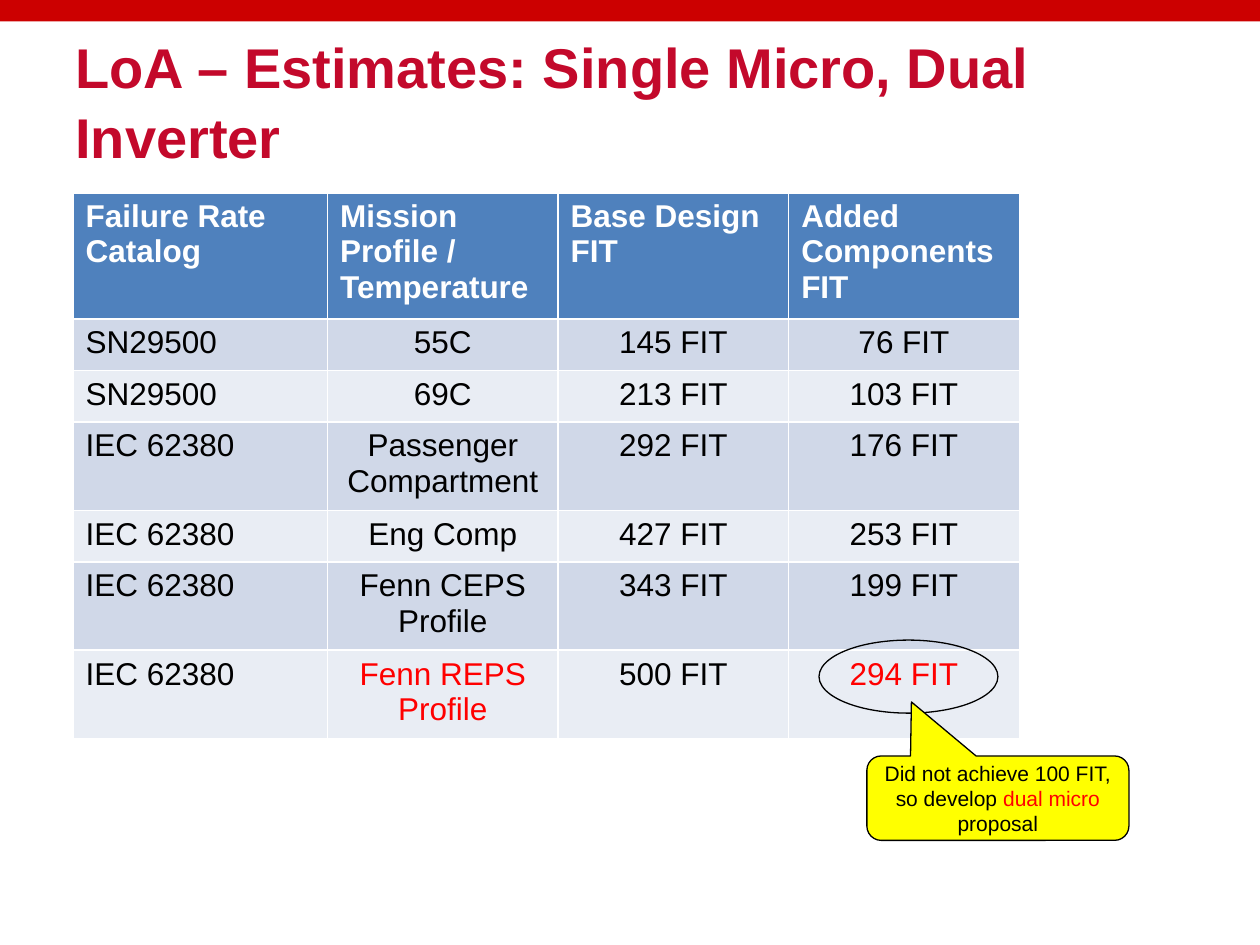
import pptx
import pptx.util
import pptx.dml.color
import pptx.enum.shapes
import pptx.enum.text

Inch = pptx.util.Inches
Shape = pptx.enum.shapes.MSO_SHAPE
Align = pptx.enum.text.PP_ALIGN
Mid = pptx.enum.text.MSO_ANCHOR.MIDDLE


def tint(hue):
    return pptx.dml.color.RGBColor.from_string(hue)


def write(para, text, size, hue="000000", bold=False):
    run = para.add_run()
    run.text = text
    look = {"name": "Arial", "size": pptx.util.Pt(size), "bold": bold}
    for key, value in look.items():
        setattr(run.font, key, value)
    run.font.color.rgb = tint(hue)


deck = pptx.Presentation()
deck.slide_width, deck.slide_height = Inch(10), Inch(7.5)
slide = deck.slides.add_slide(deck.slide_layouts[6])
items = slide.shapes

# Red band along the top
band = items.add_shape(Shape.RECTANGLE, 0, 0, deck.slide_width, Inch(0.17))
band.shadow.inherit = False
band.fill.solid()
band.fill.fore_color.rgb = tint("CC0000")
band.line.fill.background()

# Title
title = items.add_textbox(Inch(0.5), Inch(0.17), Inch(9), Inch(1.25))
frame = title.text_frame
for key, value in {"word_wrap": True, "vertical_anchor": Mid}.items():
    setattr(frame, key, value)
head = frame.paragraphs[0]
head.line_spacing = 1.04
write(head, "LoA – Estimates: Single Micro, Dual Inverter", 32, "C3092B", True)

# Table of failure rates
rows = [
    ("Failure Rate Catalog", "Mission Profile / Temperature",
     "Base Design FIT", "Added Components FIT"),
    ("SN29500", "55C", "145 FIT", "76 FIT"),
    ("SN29500", "69C", "213 FIT", "103 FIT"),
    ("IEC 62380", "Passenger Compartment", "292 FIT", "176 FIT"),
    ("IEC 62380", "Eng Comp", "427 FIT", "253 FIT"),
    ("IEC 62380", "Fenn CEPS Profile", "343 FIT", "199 FIT"),
    ("IEC 62380", "Fenn REPS Profile", "500 FIT", "294 FIT"),
]
alert = {(6, 1), (6, 3)}
high = 0.41
grid = items.add_table(len(rows), 4, Inch(0.58), Inch(1.53),
                       Inch(7.5), Inch(high * len(rows))).table
for col, wide in zip(grid.columns, (2.02, 1.83, 1.83, 1.83)):
    col.width = Inch(wide)
for r, row in enumerate(rows):
    grid.rows[r].height = Inch(high)
    for c, text in enumerate(row):
        cell = grid.cell(r, c)
        cell.fill.solid()
        para = cell.text_frame.paragraphs[0]
        if r == 0:
            cell.fill.fore_color.rgb = tint("4F81BD")
            write(para, text, 18, "FFFFFF", True)
        else:
            cell.fill.fore_color.rgb = tint("D0D8E8" if r % 2 else "E9EDF4")
            para.alignment = Align.CENTER if c else Align.LEFT
            write(para, text, 18, "FF0000" if (r, c) in alert else "000000")

# Ring around the last value, and the callout that points at it
ring = items.add_shape(Shape.OVAL, Inch(6.5), Inch(5.08),
                       Inch(1.42), Inch(0.58))
ring.fill.background()
note = items.add_shape(Shape.ROUNDED_RECTANGULAR_CALLOUT, Inch(6.88), Inch(6),
                       Inch(2.08), Inch(0.67))
note.fill.solid()
note.fill.fore_color.rgb = tint("FFFF00")
for i, value in enumerate((-0.33, -1.14, 0.17)):
    note.adjustments[i] = value
for shape in (ring, note):
    shape.shadow.inherit = False
    shape.line.color.rgb = tint("000000")
    shape.line.width = pptx.util.Pt(0.75)

frame = note.text_frame
for key, value in {"word_wrap": True, "vertical_anchor": Mid}.items():
    setattr(frame, key, value)
para = frame.paragraphs[0]
para.alignment = Align.CENTER
for text, hue in (("Did not achieve 100 FIT, so develop ", "000000"),
                  ("dual micro ", "FF0000"), ("proposal", "000000")):
    write(para, text, 12, hue)

deck.save("out.pptx")
